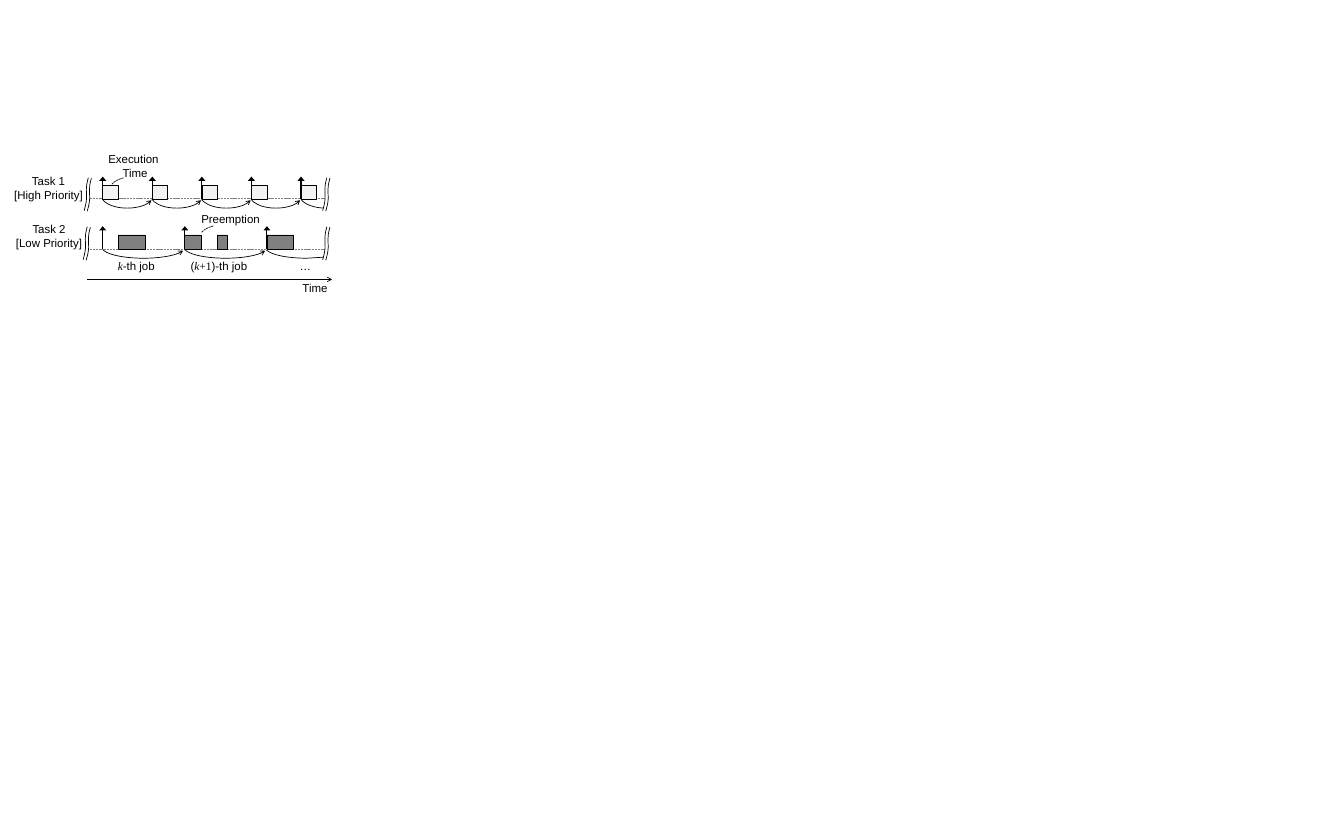
from lxml.etree import SubElement
from pptx import Presentation
from pptx.dml.color import RGBColor
from pptx.enum.dml import MSO_LINE
from pptx.enum.shapes import MSO_CONNECTOR, MSO_SHAPE
from pptx.enum.text import MSO_AUTO_SIZE, PP_ALIGN
from pptx.oxml.ns import qn
from pptx.util import Inches, Pt

BLACK, GRAY, LIGHT, WHITE = "000000", "808080", "F2F2F2", "FFFFFF"
MATH = "Times New Roman"


def color(value):
    return RGBColor.from_string(value)


def add_span(para, text, font="Arial", size=16, italic=False, ink=BLACK):
    span = para.add_run()
    span.text = text
    span.font.name = font
    span.font.size = Pt(size)
    span.font.italic = italic
    span.font.color.rgb = color(ink)


def bend(shape, kinds):
    """Turn three straight segments into one cubic for each C in kinds."""
    segments = iter(list(shape.element.spPr.iter(qn("a:lnTo"))))
    for kind in kinds:
        segment = next(segments)
        if kind == "C":
            segment.tag = qn("a:cubicBezTo")
            for _ in range(2):
                extra = next(segments)
                segment.append(extra[0])
                extra.getparent().remove(extra)


class Diagram:
    def __init__(self, slide):
        self.shapes = slide.shapes

    def outline(self, shape, ink=BLACK, width=1, dash=None, head=None, tail=None):
        shape.line.color.rgb = color(ink)
        shape.line.width = Pt(width)
        if dash:
            shape.line.dash_style = dash
        line = shape.element.spPr.find(qn("a:ln"))
        for tag, kind in (("a:headEnd", head), ("a:tailEnd", tail)):
            if kind:
                breadth = "lg" if kind == "triangle" else "med"
                SubElement(line, qn(tag), type=kind, w=breadth, len="med")

    def line(self, start, end, **style):
        connector = self.shapes.add_connector(
            MSO_CONNECTOR.STRAIGHT, *map(Inches, (*start, *end)))
        self.outline(connector, **style)
        SubElement(connector.element.spPr, qn("a:effectLst"))

    def box(self, left, top, width, height, fill):
        box = self.shapes.add_shape(
            MSO_SHAPE.RECTANGLE, *map(Inches, (left, top, width, height)))
        box.shadow.inherit = False
        box.fill.solid()
        box.fill.fore_color.rgb = color(fill)
        self.outline(box)

    def arc(self, left, top, width, height, angles, rotation=0, flip=False, **style):
        arc = self.shapes.add_shape(
            MSO_SHAPE.ARC, *map(Inches, (left, top, width, height)))
        arc.shadow.inherit = False
        arc.fill.background()
        arc.adjustments[0], arc.adjustments[1] = angles
        arc.rotation = rotation
        if flip:
            arc.element.spPr.find(qn("a:xfrm")).set("flipH", "1")
        self.outline(arc, **style)

    def curve(self, points, kinds, fill=None, shapes=None):
        """An open black line, or a closed area without an outline."""
        corners = [(Inches(x), Inches(y)) for x, y in points]
        builder = (shapes or self.shapes).build_freeform(*corners[0])
        builder.add_line_segments(corners[1:], close=fill is not None)
        shape = builder.convert_to_shape()
        bend(shape, kinds)
        shape.shadow.inherit = False
        if fill:
            shape.fill.solid()
            shape.fill.fore_color.rgb = color(fill)
            shape.line.fill.background()
        else:
            shape.fill.background()
            self.outline(shape)

    def break_mark(self, x, y):
        """A white wavy strip that rises from its lower left corner."""
        wave = [(0, 0), (0.01, -0.04),
                (0.02, -0.07), (0.03, -0.12), (0.04, -0.17),
                (0.06, -0.27), (0.03, -0.38), (0.05, -0.51),
                (0.06, -0.56), (0.07, -0.6), (0.08, -0.64)]
        near = [(x + dx, y + dy) for dx, dy in wave]
        far = [(px + 0.06, py + 0.01) for px, py in near]
        strip = self.shapes.add_group_shape().shapes
        self.curve(near + far[::-1], "LCCCLCCCL", fill=WHITE, shapes=strip)
        for edge in (near, far):
            self.curve(edge, "LCCC", shapes=strip)

    def text(self, left, top, width, height, paragraphs, wrap=False,
             align=PP_ALIGN.CENTER):
        box = self.shapes.add_textbox(*map(Inches, (left, top, width, height)))
        frame = box.text_frame
        frame.word_wrap = wrap
        frame.auto_size = MSO_AUTO_SIZE.SHAPE_TO_FIT_TEXT
        for index, spans in enumerate(paragraphs):
            para = frame.add_paragraph() if index else frame.paragraphs[0]
            para.alignment = align
            for text, style in spans:
                add_span(para, text, **style)


def main():
    deck = Presentation()
    deck.slide_width, deck.slide_height = Inches(26.03), Inches(15.8)
    page = Diagram(deck.slides.add_slide(deck.slide_layouts[6]))

    first_release, job_height = 1.99, 0.27
    high_base, low_base = 3.85, 4.82
    high_releases = [first_release + 0.96 * job for job in range(5)]
    low_releases = [first_release + 1.59 * job for job in range(3)]

    # Task baselines and time axis
    for base in (high_base, low_base):
        page.line((1.69, base), (6.31, base), ink=GRAY, dash=MSO_LINE.SQUARE_DOT)
    page.line((1.69, 5.41), (6.43, 5.41), tail="arrow")
    page.text(5.76, 5.4, 0.69, 0.37, [[("Time", {})]], align=PP_ALIGN.LEFT)

    # Execution boxes
    for release in high_releases:
        page.box(release, 3.59, 0.3, job_height, LIGHT)
    for left, width in ((2.29, 0.52), (3.58, 0.33), (4.21, 0.19), (5.17, 0.52)):
        page.box(left, 4.55, width, job_height, GRAY)

    # Release arrows
    for releases, top, base in ((high_releases, 3.42, high_base),
                                (low_releases, 4.38, low_base)):
        for release in releases:
            page.line((release, top), (release, base), width=1.5, head="triangle")

    # Period arcs, the last of each task cut off by the break
    for release in high_releases[:-1]:
        page.arc(release - 0.03, 3.54, 1.01, 0.49, (114.69, 210.81),
                 rotation=180, head="arrow")
    for release in low_releases[:-1]:
        page.arc(release - 0.02, 4.57, 1.62, 0.43, (111.15, 213.37),
                 rotation=180, head="arrow")
    page.curve([(6.31, 4.03), (6.09, 4.03), (5.9, 3.96), (5.83, 3.86)], "C")
    page.curve([(6.27, 4.98), (5.94, 5), (5.58, 5), (5.26, 4.94), (5.16, 4.84)],
               "LC")

    # Breaks at both ends of the timelines
    for x, y in ((6.25, 4.08), (6.25, 5.03), (1.63, 4.08), (1.61, 5.03)):
        page.break_mark(x, y)

    # Callout leaders
    for left, top in ((2.13, 3.41), (3.87, 4.34)):
        page.arc(left, top, 1.07, 0.49, (193.33, 210.81), flip=True,
                 dash=MSO_LINE.SQUARE_DOT)

    # Labels
    page.text(0.17, 3.33, 1.54, 0.64,
              [[("Task 1", {})], [("[High Priority]", {})]], wrap=True)
    page.text(0.2, 4.26, 1.5, 0.64,
              [[("Task 2", {})], [("[Low Priority]", {})]], wrap=True)
    page.text(1.99, 2.89, 1.25, 0.64, [[("Execution ", {})], [("Time", {})]])
    page.text(3.79, 4.06, 1.35, 0.37, [[("Preemption", {})]])
    variable = ("k", {"font": MATH, "italic": True})
    page.text(2.17, 4.96, 0.94, 0.37, [[variable, ("-th job", {})]])
    page.text(3.57, 4.96, 1.34, 0.37,
              [[("(", {}), variable, ("+1", {"font": MATH}), (")-th job", {})]])
    page.text(5.7, 4.96, 0.43, 0.37, [[("…", {})]])

    deck.save("out.pptx")


if __name__ == "__main__":
    main()
